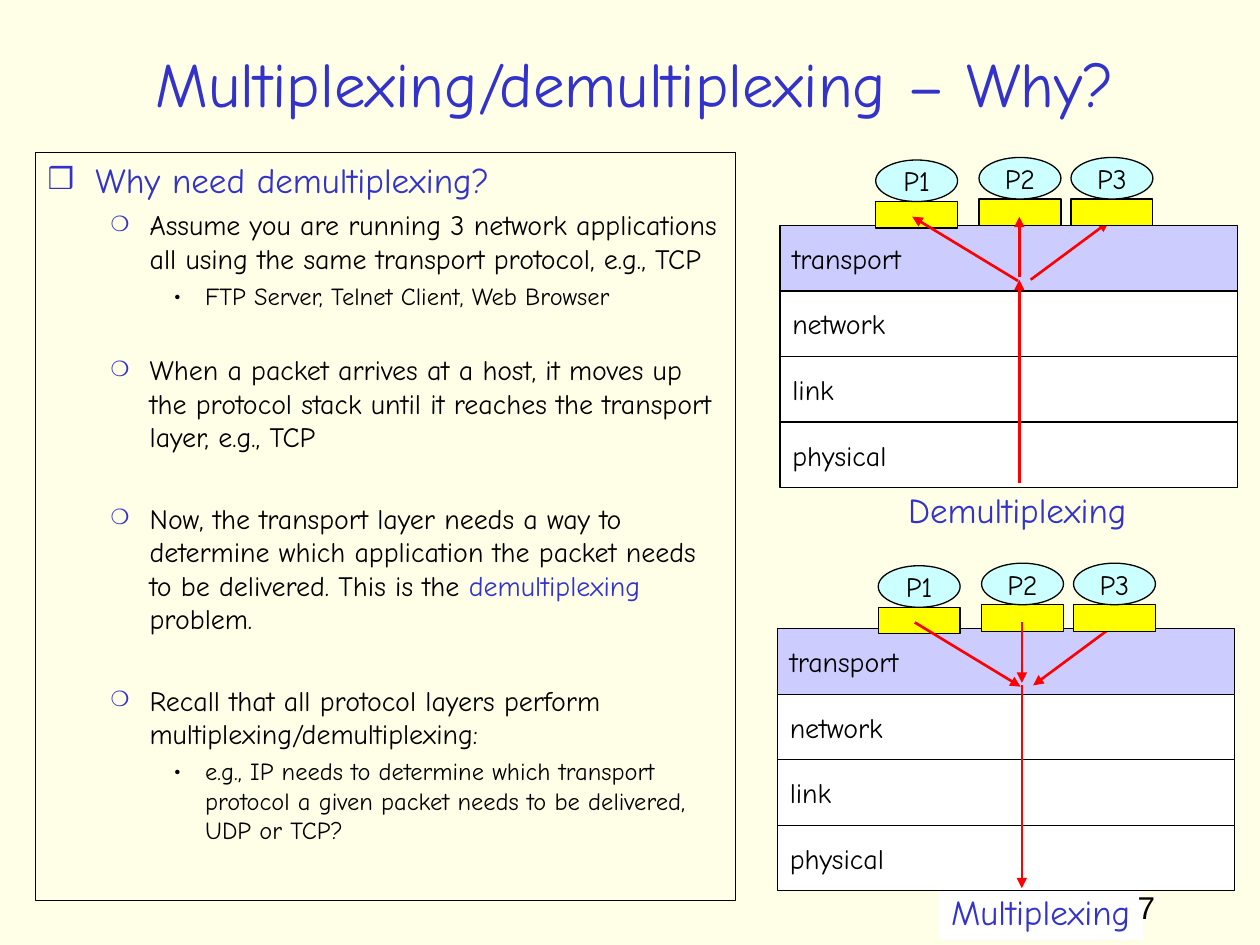
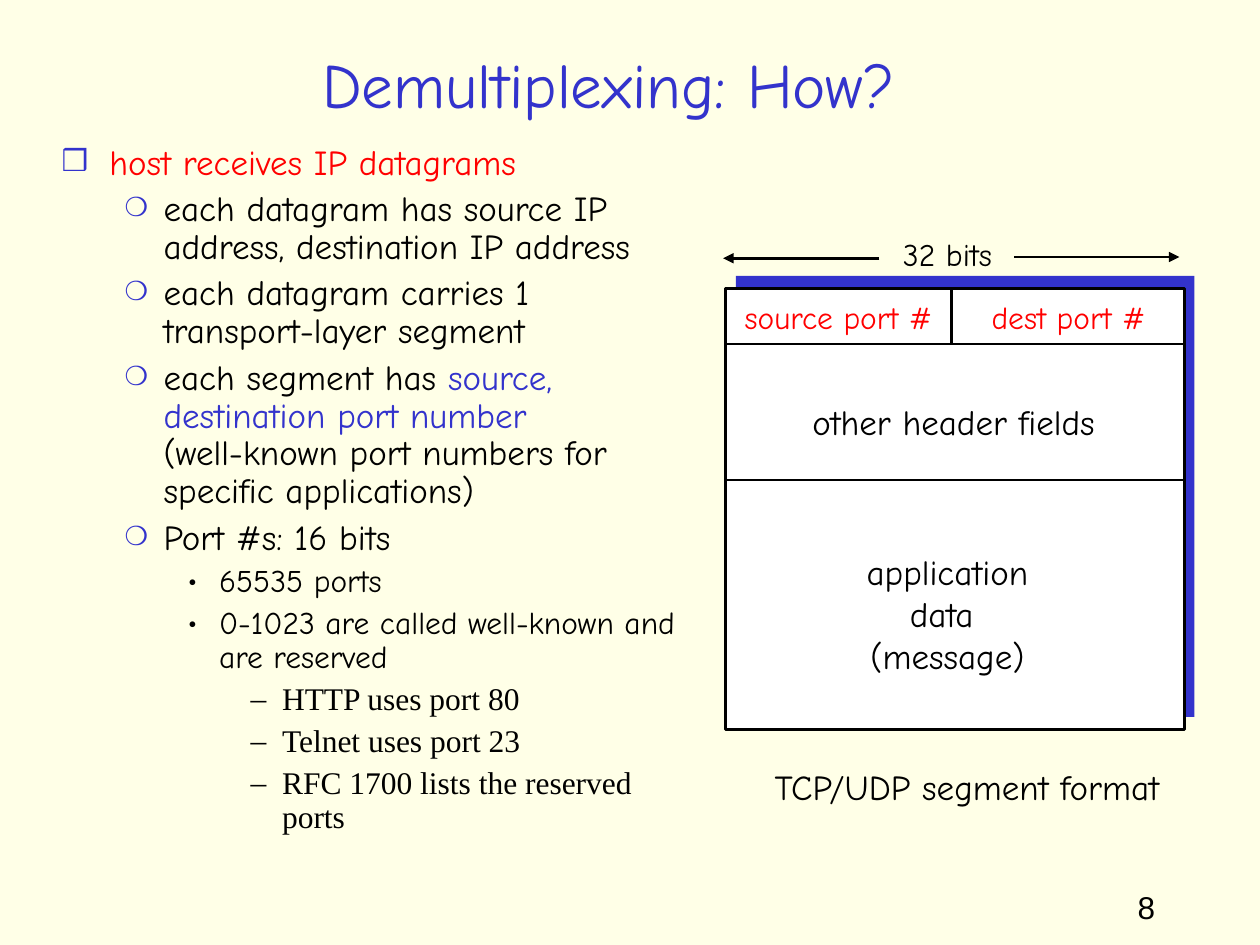
"""Build two slides on transport-layer multiplexing and demultiplexing."""
import pptx
import pptx.dml.color
import pptx.enum.shapes
import pptx.enum.text
import pptx.oxml
import pptx.oxml.ns
import pptx.util
from pptx.util import Inches

RGBColor = pptx.dml.color.RGBColor
SHAPES = pptx.enum.shapes.MSO_SHAPE
ALIGN = pptx.enum.text.PP_ALIGN
ANCHOR = pptx.enum.text.MSO_ANCHOR

CREAM = RGBColor(0xFF, 0xFF, 0xE7)
BLUE = RGBColor(0x33, 0x33, 0xCC)
LAVENDER = RGBColor(0xCC, 0xCC, 0xFF)
CYAN = RGBColor(0xCC, 0xFF, 0xFF)
YELLOW = RGBColor(0xFF, 0xFF, 0x00)
RED = RGBColor(0xFF, 0x00, 0x00)
WHITE = RGBColor(0xFF, 0xFF, 0xFF)
BLACK = RGBColor(0x00, 0x00, 0x00)

COMIC, TIMES, ARIAL = "Comic Neue", "Times New Roman", "Arial"
NUMBER_AREA = (8.93, 7, 0.74, 0.5)

LEVELS = [
    {"margin": 0.38, "indent": -0.38, "bullet": "❒", "color": BLUE, "percent": 85, "font": COMIC},
    {"margin": 0.81, "indent": -0.31, "bullet": "❍", "color": BLUE, "percent": 75, "font": COMIC},
    {"margin": 1.25, "indent": -0.25, "bullet": "•", "color": BLACK, "percent": 100, "font": COMIC},
    {"margin": 1.75, "indent": -0.25, "bullet": "–", "color": BLACK, "percent": 100, "font": TIMES},
]

WHY = {
    "title": ("Multiplexing/demultiplexing – Why?", (0.42, 0.31, 9.24, 0.69)),
    "number": "7",
    "area": (0.28, 1.21, 5.56, 5.94),
    "border": BLACK,
    "sizes": (20, 16, 14),
    "gaps": (5, 4, 3.5),
    "spacing": None,
    "section_gaps": {3: 24.3, 4: 27.2, 5: 27.2},
    "points": [
        (0, [("Why need demultiplexing?", BLUE)]),
        (1, [("Assume you are running 3 network applications all using the same "
              "transport protocol, e.g., TCP", BLACK)]),
        (2, [("FTP Server, Telnet Client, Web Browser", BLACK)]),
        (1, [("When a packet arrives at a host, it moves up the protocol stack until "
              "it reaches the transport layer, e.g., TCP", BLACK)]),
        (1, [("Now, the transport layer needs a way to determine which application "
              "the packet needs to be delivered. This is the ", BLACK),
             ("demultiplexing", BLUE), (" problem.", BLACK)]),
        (1, [("Recall that all protocol layers perform multiplexing/demultiplexing:", BLACK)]),
        (2, [("e.g., IP needs to determine which transport protocol a given packet "
              "needs to be delivered, UDP or TCP?", BLACK)]),
    ],
}

HOW = {
    "title": ("Demultiplexing: How?", (0.58, 0.25, 8.5, 0.83)),
    "number": "8",
    "area": (0.39, 1.1, 5.12, 5.95),
    "border": None,
    "sizes": (20, 20, 18, 18),
    "gaps": (5, 5, 4.5, 4.5),
    "spacing": 0.9,
    "section_gaps": {},
    "points": [
        (0, [("host receives IP datagrams", RED)]),
        (1, [("each datagram has source IP address, destination IP address", BLACK)]),
        (1, [("each datagram carries 1 transport-layer segment", BLACK)]),
        (1, [("each segment has ", BLACK), ("source, destination port number", BLUE), None,
             ("(well-known port numbers for specific applications)", BLACK)]),
        (1, [("Port #s: 16 bits", BLACK)]),
        (2, [("65535 ports", BLACK)]),
        (2, [("0-1023 are called well-known and are reserved", BLACK)]),
        (3, [("HTTP uses port 80", BLACK)]),
        (3, [("Telnet uses port 23", BLACK)]),
        (3, [("RFC 1700 lists the reserved ports", BLACK)]),
    ],
}

LAYERS = [("transport", LAVENDER), ("network", WHITE), ("link", WHITE), ("physical", WHITE)]
LAYER_WIDTH, LAYER_HEIGHT = 3.63, 0.52
PROCESSES = [("P1", 0, 0.02), ("P2", 0.82, 0), ("P3", 1.55, 0)]
PROCESS_WIDTH, PROCESS_HEIGHT, SOCKET_HEIGHT = 0.65, 0.33, 0.21
ARROW_BEHIND_SOCKET = ((1.85, 0.51), (1.23, 0.97))
ARROWS = [((1.14, 0.97), (1.14, 2.58)), ((0.29, 0.47), (1.13, 0.98)), ((1.14, 0.47), (1.14, 0.95))]
STACKS = [
    {"label": "Demultiplexing", "label_area": (7.11, 3.83, 1.93, 0.44), "label_fill": None,
     "layers_at": (6.19, 1.79), "processes_at": (6.95, 1.25), "upward": True},
    {"label": "Multiplexing", "label_area": (7.45, 7.02, 1.62, 0.44), "label_fill": WHITE,
     "layers_at": (6.17, 4.99), "processes_at": (6.97, 4.47), "upward": False},
]

SEGMENT_AREA = (5.76, 2.29, 3.64, 3.5)
SEGMENT_SHADE_AREA = (5.84, 2.19, 3.64, 3.5)
SEGMENT_LABELS = [
    (["source port #"], (5.81, 2.32, 1.69, 0.4), 18, RED),
    (["dest port #"], (7.77, 2.32, 1.42, 0.4), 18, RED),
    (["32 bits"], (7.07, 1.82, 0.9, 0.4), 18, BLACK),
    (["application", "data ", "(message)"], (6.78, 4.32, 1.48, 1.1), 20, BLACK),
    (["other header fields"], (6.35, 3.13, 2.44, 0.44), 20, BLACK),
    (["TCP/UDP segment format"], (6.03, 6.03, 3.29, 0.44), 20, BLACK),
]
SEGMENT_LINES = [
    ((5.75, 2.73), (9.39, 2.73), False),
    ((5.76, 3.81), (9.4, 3.81), False),
    ((7.55, 2.72), (7.55, 2.29), False),
    ((8.05, 2.04), (9.36, 2.04), True),
    ((6.98, 2.05), (5.74, 2.05), True),
]


def set_values(target, values):
    for name, value in values.items():
        setattr(target, name, value)


def append_element(parent, tag, **attributes):
    element = pptx.oxml.parse_xml(f"<{tag} {pptx.oxml.ns.nsdecls('a')}/>")
    for name, value in attributes.items():
        element.set(name, str(value))
    parent.append(element)
    return element


def add_run(paragraph, text, size, color, font=COMIC):
    run = paragraph.add_run()
    run.text = text
    set_values(run.font, {"size": pptx.util.Pt(size), "name": font})
    run.font.color.rgb = color


def write_lines(frame, lines, size, color, font=COMIC, align=ALIGN.CENTER):
    for index, line in enumerate(lines):
        paragraph = frame.add_paragraph() if index else frame.paragraphs[0]
        paragraph.alignment = align
        add_run(paragraph, line, size, color, font)


def add_text(slide, area, lines, size, color, font=COMIC, align=ALIGN.CENTER, **frame_values):
    box = slide.shapes.add_textbox(*map(Inches, area))
    set_values(box.text_frame, {"word_wrap": True, **frame_values})
    write_lines(box.text_frame, lines, size, color, font, align)
    return box


def add_label(slide, area, lines, size, color):
    return add_text(slide, area, lines, size, color, margin_left=0, margin_right=0)


def add_block(slide, kind, area, fill, border=BLACK, width=0.75):
    shape = slide.shapes.add_shape(kind, *map(Inches, area))
    shape.shadow.inherit = False
    shape.fill.solid()
    shape.fill.fore_color.rgb = fill
    if border is None:
        shape.line.fill.background()
    else:
        shape.line.color.rgb = border
        shape.line.width = pptx.util.Pt(width)
    set_values(shape.text_frame, {"word_wrap": True, "vertical_anchor": ANCHOR.MIDDLE})
    return shape


def add_line(slide, start, end, color, arrow):
    connector = slide.shapes.add_connector(
        pptx.enum.shapes.MSO_CONNECTOR.STRAIGHT, *map(Inches, (*start, *end)))
    connector.line.color.rgb = color
    connector.line.width = pptx.util.Pt(1.5)
    if arrow:
        append_element(connector.line._get_or_add_ln(), "a:tailEnd", type="triangle")
    append_element(connector._element.spPr, "a:effectLst")


def add_bullet(paragraph, level):
    properties = paragraph._p.get_or_add_pPr()
    properties.set("marL", str(Inches(level["margin"])))
    properties.set("indent", str(Inches(level["indent"])))
    color = append_element(properties, "a:buClr")
    append_element(color, "a:srgbClr", val=level["color"])
    append_element(properties, "a:buSzPct", val=level["percent"] * 1000)
    append_element(properties, "a:buFont", typeface=level["font"])
    append_element(properties, "a:buChar", char=level["bullet"])


def add_points(slide, content):
    box = slide.shapes.add_textbox(*map(Inches, content["area"]))
    box.text_frame.word_wrap = True
    if content["border"] is not None:
        box.line.color.rgb = content["border"]
        box.line.width = pptx.util.Pt(0.75)
    for index, (depth, runs) in enumerate(content["points"]):
        paragraph = box.text_frame.add_paragraph() if index else box.text_frame.paragraphs[0]
        add_bullet(paragraph, LEVELS[depth])
        gap = content["section_gaps"].get(index, content["gaps"][depth]) if index else 0
        set_values(paragraph, {"level": depth, "space_before": pptx.util.Pt(gap),
                               "line_spacing": content["spacing"]})
        for run in runs:
            if run is None:
                paragraph.add_line_break()
            else:
                text, color = run
                add_run(paragraph, text, content["sizes"][depth], color, LEVELS[depth]["font"])


def add_stack(slide, stack):
    label = add_label(slide, stack["label_area"], [stack["label"]], 20, BLUE)
    if stack["label_fill"] is not None:
        label.fill.solid()
        label.fill.fore_color.rgb = stack["label_fill"]

    left, top = stack["layers_at"]
    for index, (name, fill) in enumerate(LAYERS):
        area = (left, top + index * LAYER_HEIGHT, LAYER_WIDTH, LAYER_HEIGHT)
        layer = add_block(slide, SHAPES.RECTANGLE, area, fill)
        write_lines(layer.text_frame, [name], 16, BLACK, align=ALIGN.LEFT)

    left, top = stack["processes_at"]

    def add_flow(ends):
        upper, lower = [(left + x, top + y) for x, y in ends]
        start, end = (lower, upper) if stack["upward"] else (upper, lower)
        add_line(slide, start, end, RED, True)

    add_flow(ARROW_BEHIND_SOCKET)
    for name, x, y in PROCESSES:
        socket_top = top + y + PROCESS_HEIGHT
        add_block(slide, SHAPES.RECTANGLE, (left + x, socket_top, PROCESS_WIDTH, SOCKET_HEIGHT), YELLOW)
        process = add_block(slide, SHAPES.OVAL, (left + x, top + y, PROCESS_WIDTH, PROCESS_HEIGHT), CYAN)
        process.text_frame.word_wrap = False
        write_lines(process.text_frame, [name], 16, BLACK)
    for ends in ARROWS:
        add_flow(ends)


def add_segment(slide):
    add_block(slide, SHAPES.RECTANGLE, SEGMENT_SHADE_AREA, BLUE, None)
    add_block(slide, SHAPES.RECTANGLE, SEGMENT_AREA, WHITE, BLACK, 1.5)
    for lines, area, size, color in SEGMENT_LABELS:
        add_label(slide, area, lines, size, color)
    for start, end, arrow in SEGMENT_LINES:
        add_line(slide, start, end, BLACK, arrow)


def add_content_slide(presentation, content):
    slide = presentation.slides.add_slide(presentation.slide_layouts[6])
    slide.background.fill.solid()
    slide.background.fill.fore_color.rgb = CREAM
    title, area = content["title"]
    add_text(slide, area, [title], 36, BLUE, vertical_anchor=ANCHOR.MIDDLE)
    add_points(slide, content)
    return slide


def add_number(slide, content):
    add_text(slide, NUMBER_AREA, [content["number"]], 18, BLACK, ARIAL, ALIGN.LEFT)


def main():
    presentation = pptx.Presentation()
    set_values(presentation, {"slide_width": Inches(10), "slide_height": Inches(7.5)})

    why_slide = add_content_slide(presentation, WHY)
    for stack in STACKS:
        add_stack(why_slide, stack)
    add_number(why_slide, WHY)

    how_slide = add_content_slide(presentation, HOW)
    add_segment(how_slide)
    add_number(how_slide, HOW)

    presentation.save("out.pptx")


if __name__ == "__main__":
    main()
